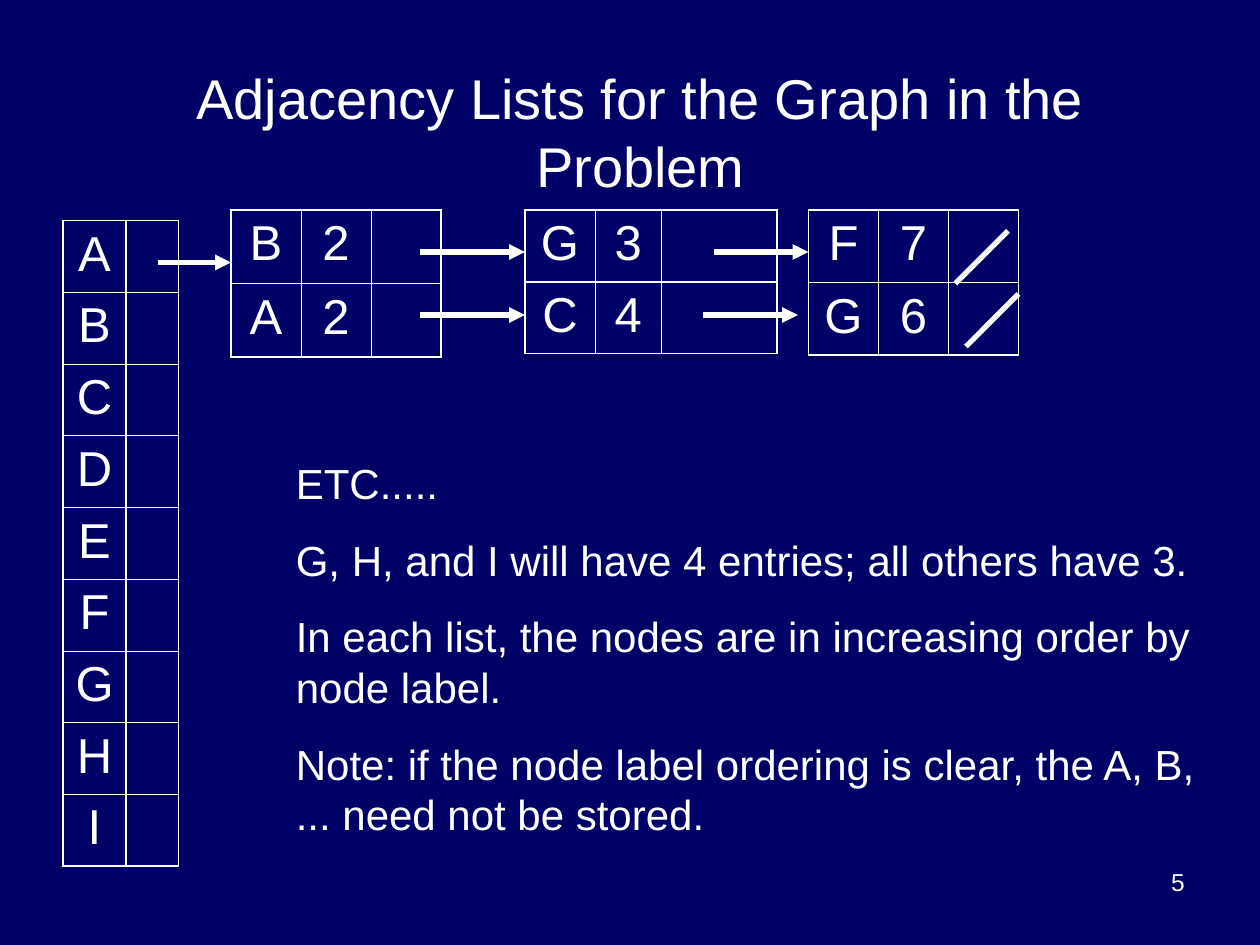
from lxml import etree
from pptx import Presentation
from pptx.dml.color import RGBColor
from pptx.enum import shapes, text
from pptx.oxml.ns import qn
from pptx.util import Pt

NAVY = RGBColor(0x00, 0x00, 0x66)
WHITE = RGBColor(0xFF, 0xFF, 0xFF)
THIN, THICK = 0.45, 1.08

TITLE = "Adjacency Lists for the Graph in the Problem"
REMARKS = [
    "ETC.....",
    "G, H, and I will have 4 entries; all others have 3.",
    "In each list, the nodes are in increasing order by node label.",
    "Note: if the node label ordering is clear, the A, B, ... need not be stored.",
]
PAGE = "5"

# left, top, column widths, row height, rows, inner column line, inner row line
VERTEX_ARRAY = (36, 126, (36, 30), 41, [(vertex, "") for vertex in "ABCDEFGHI"], THICK, THIN)
LIST_NODES = [
    (132, 120, (40, 40, 40), 42, [("B", "2", ""), ("A", "2", "")], THIN, THICK),
    (300, 120, (40, 38, 66), 41, [("G", "3", ""), ("C", "4", "")], THIN, THICK),
    (462, 120, (40, 40, 40), 41.5, [("F", "7", ""), ("G", "6", "")], THIN, THICK),
]
# x and y of the start, x and y of the end
LINKS = [
    (90, 150, 132, 150),
    (240, 144, 300, 144), (408, 144, 462, 144),
    (240, 180, 300, 180), (402, 180, 456, 180),
]
END_SLASHES = [(546, 162, 576, 132), (552, 198, 582, 168)]


def set_font(paragraph, size):
    paragraph.font.name = "Arial"
    paragraph.font.size = Pt(size)
    paragraph.font.color.rgb = WHITE


def set_borders(cell, left, right, top, bottom):
    properties = cell._tc.get_or_add_tcPr()
    for index, (side, width) in enumerate(zip("LRTB", (left, right, top, bottom))):
        border = etree.Element(qn("a:ln" + side), w=str(int(Pt(width))))
        fill = etree.SubElement(border, qn("a:solidFill"))
        etree.SubElement(fill, qn("a:srgbClr"), val=str(WHITE))
        properties.insert(index, border)


def add_grid(slide, left, top, widths, row_height, rows, column_line, row_line):
    table = slide.shapes.add_table(
        len(rows), len(widths), Pt(left), Pt(top),
        Pt(sum(widths)), Pt(row_height * len(rows))).table
    table.first_row = table.horz_banding = False
    for column, width in zip(table.columns, widths):
        column.width = Pt(width)
    last_row, last_column = len(rows) - 1, len(widths) - 1
    for r, row in enumerate(rows):
        table.rows[r].height = Pt(row_height)
        for c, label in enumerate(row):
            cell = table.cell(r, c)
            cell.fill.background()
            set_borders(
                cell,
                column_line if c else THICK,
                column_line if c < last_column else THICK,
                row_line if r else THICK,
                row_line if r < last_row else THICK)
            if label:
                cell.text = label
                paragraph = cell.text_frame.paragraphs[0]
                paragraph.alignment = text.PP_ALIGN.CENTER
                set_font(paragraph, 28)


def add_stroke(slide, ends, arrow=False):
    stroke = slide.shapes.add_connector(
        shapes.MSO_CONNECTOR.STRAIGHT, *(Pt(value) for value in ends))
    stroke.line.color.rgb = WHITE
    stroke.line.width = Pt(3)
    if arrow:
        etree.SubElement(stroke.line._get_or_add_ln(), qn("a:tailEnd"), type="triangle")
    etree.SubElement(stroke._element.spPr, qn("a:effectLst"))


def add_text(slide, box, paragraphs, size, alignment, gap=0):
    frame = slide.shapes.add_textbox(*(Pt(value) for value in box)).text_frame
    frame.word_wrap = True
    for index, line in enumerate(paragraphs):
        paragraph = frame.add_paragraph() if index else frame.paragraphs[0]
        paragraph.text = line
        paragraph.alignment = alignment
        if index:
            paragraph.space_before = Pt(gap)
        set_font(paragraph, size)
    return frame


def main():
    deck = Presentation()
    deck.slide_width, deck.slide_height = Pt(720), Pt(540)
    slide = deck.slides.add_slide(deck.slide_layouts[5])
    slide.background.fill.solid()
    slide.background.fill.fore_color.rgb = NAVY

    title = slide.shapes.title
    title.left, title.top, title.width, title.height = Pt(42), Pt(30), Pt(648), Pt(90)
    frame = title.text_frame
    frame.text = TITLE
    frame.word_wrap = True
    frame.auto_size = text.MSO_AUTO_SIZE.NONE
    frame.vertical_anchor = text.MSO_ANCHOR.MIDDLE
    frame.margin_left = frame.margin_right = Pt(8)
    frame.paragraphs[0].alignment = text.PP_ALIGN.CENTER
    set_font(frame.paragraphs[0], 32)

    for grid in [VERTEX_ARRAY, *LIST_NODES]:
        add_grid(slide, *grid)
    for link in LINKS:
        add_stroke(slide, link, arrow=True)
    for slash in END_SLASHES:
        add_stroke(slide, slash)

    remarks = add_text(slide, (162, 258, 534, 225), REMARKS, 24, text.PP_ALIGN.LEFT, gap=15)
    remarks.auto_size = text.MSO_AUTO_SIZE.SHAPE_TO_FIT_TEXT
    add_text(slide, (516, 492, 168, 37.5), [PAGE], 14, text.PP_ALIGN.RIGHT)
    deck.save("out.pptx")


if __name__ == "__main__":
    main()
